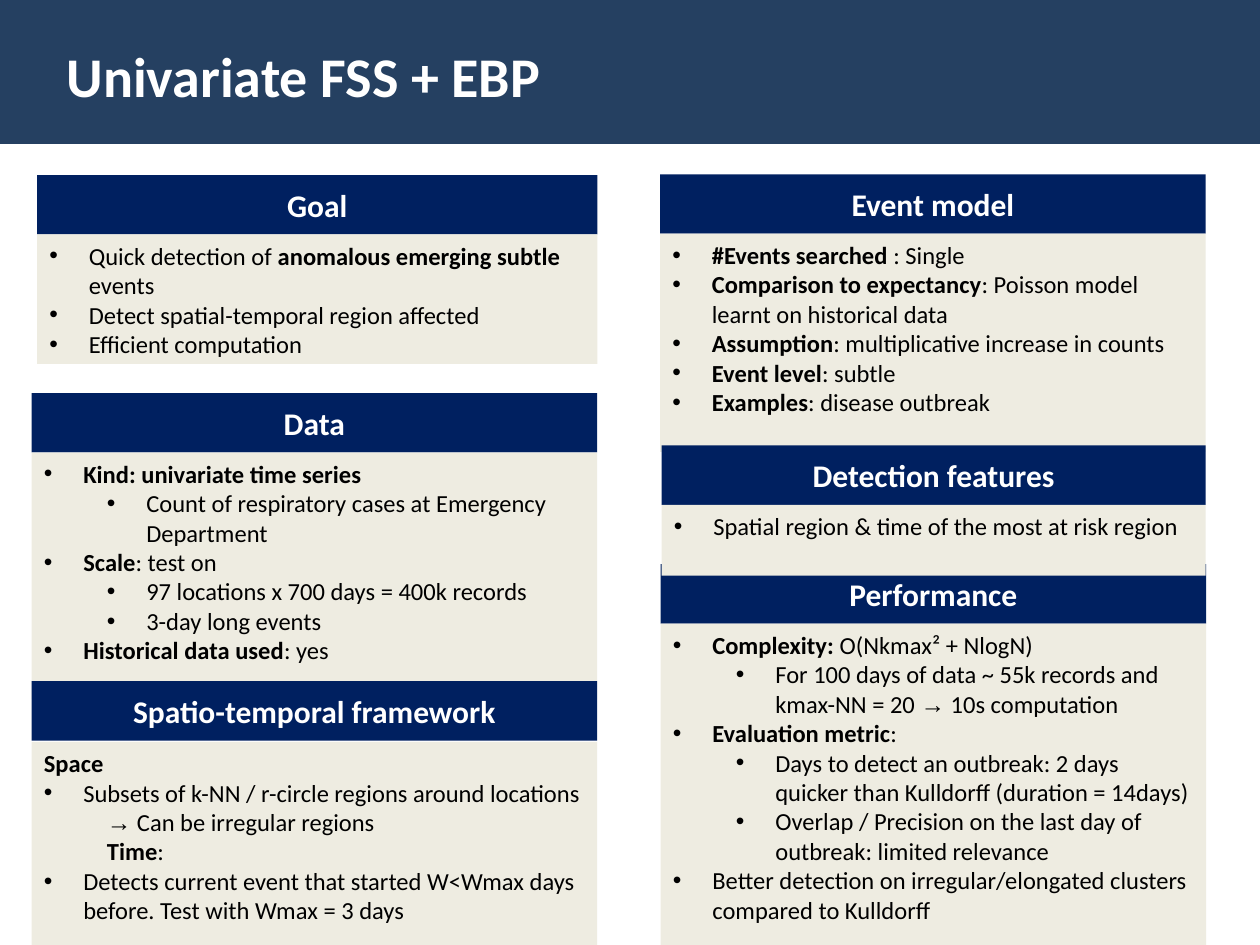
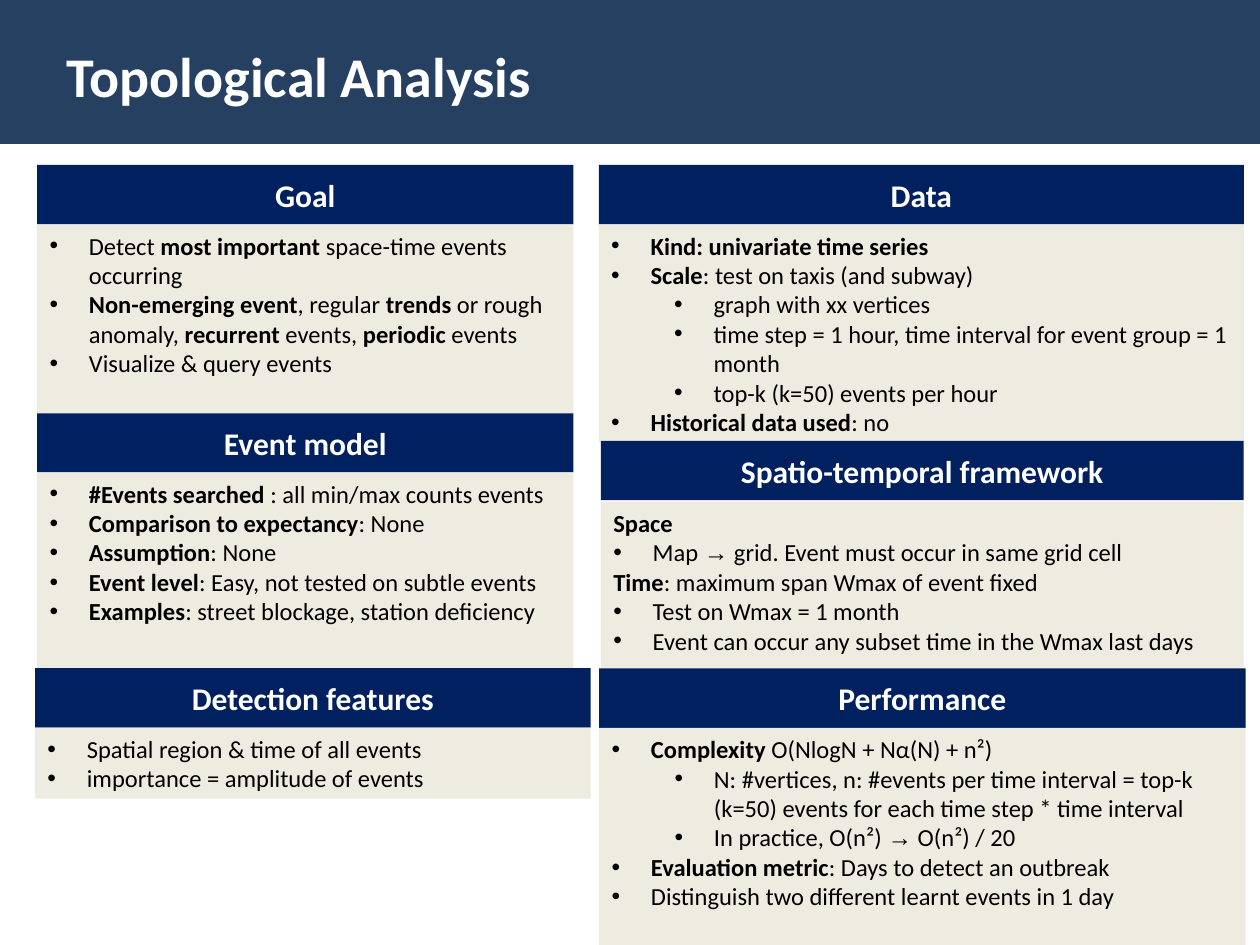
import pptx
import pptx.util
import pptx.dml.color
import pptx.enum.shapes
import pptx.enum.text
import pptx.oxml.ns
from lxml import etree

Pt = pptx.util.Pt
RGB = pptx.dml.color.RGBColor
ALIGN = pptx.enum.text.PP_ALIGN
ANCHOR = pptx.enum.text.MSO_ANCHOR

# Body lines: "- " bullet, "-- " sub-bullet, "> " indented; ** marks bold.
# Panels run from back to front: title, left, top, width, body height, gap, lines.
SLIDES = [
    ("Univariate FSS + EBP", [
        ("Data", 18, 224.6, 323.3, 141, 0, [
            "- **Kind: univariate time series**",
            "-- Count of respiratory cases at Emergency Department",
            "- **Scale**: test on",
            "-- 97 locations x 700 days = 400k records",
            "-- 3-day long events",
            "- **Historical data used**: yes",
        ]),
        ("Performance", 377.5, 322.4, 311.8, 242, 0, [
            "- **Complexity:** O(Nkmax² + NlogN)",
            "-- For 100 days of data ~ 55k records and kmax-NN = 20 → 10s computation",
            "- **Evaluation metric**:",
            "-- Days to detect an outbreak: 2 days quicker than Kulldorff (duration = 14days)",
            "-- Overlap / Precision on the last day of outbreak: limited relevance",
            "- Better detection on irregular/elongated clusters compared to Kulldorff",
        ]),
        ("Event model", 377.2, 99.6, 311.8, 124.6, 0, [
            "- **#Events searched **: Single",
            "- **Comparison to expectancy**: Poisson model learnt on historical data",
            "- **Assumption**: multiplicative increase in counts",
            "- **Event level**: subtle",
            "- **Examples**: disease outbreak",
        ]),
        ("Spatio-temporal framework", 18, 389.2, 323.3, 141, 0.8, [
            "**Space**",
            "- Subsets of k-NN / r-circle regions around locations",
            "> → Can be irregular regions",
            "> **Time**:",
            "- Detects current event that started W<Wmax days before. Test with Wmax = 3 days",
        ]),
        ("Goal", 21.2, 100, 320.2, 74, 0, [
            "- Quick detection of **anomalous emerging subtle **events",
            "- Detect spatial-temporal region affected",
            "- Efficient computation",
        ]),
        ("Detection features", 378, 254.5, 311, 40.5, 0, [
            "- Spatial region & time of the most at risk region",
        ]),
    ]),
    ("Topological Analysis", [
        ("Data", 342.2, 94.2, 368.6, 124.6, 0, [
            "- **Kind: univariate time series**",
            "- **Scale**: test on taxis (and subway)",
            "-- graph with xx vertices",
            "-- time step = 1 hour, time interval for event group = 1 month",
            "-- top-k (k=50) events per hour",
            "- **Historical data used**: no",
        ]),
        ("Event model", 21.2, 236, 306.5, 141, 0, [
            "- **#Events searched **: all min/max counts events",
            "- **Comparison to expectancy**: None",
            "- **Assumption**: None",
            "- **Event level**: Easy, not tested on subtle events",
            "- **Examples**: street blockage, station deficiency",
        ]),
        ("Goal", 21.2, 94.2, 306.5, 108, 0, [
            "- Detect **most important **space-time events occurring",
            "- **Non-emerging event**, regular **trends** or rough anomaly, "
            "**recurrent** events, **periodic** events",
            "- Visualize & query events",
        ]),
        ("Spatio-temporal framework", 343.4, 251.9, 367.3, 124.6, 0.8, [
            "**Space**",
            "- Map → grid. Event must occur in same grid cell",
            "**Time**: maximum span Wmax of event fixed",
            "- Test on Wmax = 1 month",
            "- Event can occur any subset time in the Wmax last days",
        ]),
        ("Detection features", 20, 381.8, 317.5, 40.5, 0, [
            "- Spatial region & time of all events",
            "- importance = amplitude of events",
        ]),
        ("Performance", 342.4, 382, 369.4, 141, 0, [
            "- **Complexity** O(NlogN + Nα(N) + n²)",
            "-- N: #vertices, n: #events per time interval = top-k (k=50) events "
            "for each time step * time interval",
            "-- In practice, O(n²) → O(n²) / 20",
            "- **Evaluation metric**: Days to detect an outbreak",
            "- Distinguish two different learnt events in 1 day",
        ]),
    ]),
]

COLORS = {"band": "254061", "head": "002060", "body": "EEECE1",
          "light": "FFFFFF", "dark": "000000"}
FONT, SYMBOL = "Calibri", "Arial"
HEAD = 34  # height of a panel's heading
# mark: (level, left margin, first-line indent)
STYLES = {"--": (1, 58.5, -22.5), "-": (0, 22.5, -22.5), ">": (0, 36, 0)}


def add_box(slide, x, y, w, h, fill):
    box = slide.shapes.add_shape(pptx.enum.shapes.MSO_SHAPE.RECTANGLE,
                                 Pt(x), Pt(y), Pt(w), Pt(h))
    box.shadow.inherit = False
    box.fill.solid()
    box.fill.fore_color.rgb = RGB.from_string(COLORS[fill])
    box.line.fill.background()
    frame = box.text_frame
    frame.word_wrap = True
    frame.vertical_anchor = ANCHOR.TOP
    return frame


def set_font(run, size, color, bold, name=FONT):
    font = run.font
    font.name, font.size, font.bold = name, Pt(size), bold
    font.color.rgb = RGB.from_string(COLORS[color])


def add_title(frame, text, size, align):
    frame.text = text
    para = frame.paragraphs[0]
    para.alignment = align
    set_font(para.runs[0], size, "light", True)


def indent(para, mark):
    level, left, first = STYLES[mark]
    para.level = level
    props = para._p.get_or_add_pPr()
    props.set("marL", str(Pt(left)))
    props.set("indent", str(Pt(first)))
    if first:
        qn = pptx.oxml.ns.qn
        etree.SubElement(props, qn("a:buFont")).set("typeface", SYMBOL)
        etree.SubElement(props, qn("a:buChar")).set("char", "•")


def write(para, line):
    """Fill a paragraph from a marked-up body line."""
    para.alignment = ALIGN.LEFT
    mark, _, rest = line.partition(" ")
    if mark in STYLES:
        indent(para, mark)
        line = rest
    for i, part in enumerate(line.split("**")):
        for text in part.partition("→"):
            if text:
                run = para.add_run()
                run.text = text
                set_font(run, 14, "dark", i % 2 == 1,
                         SYMBOL if text == "→" else FONT)


def add_panel(slide, title, x, y, w, h, gap, lines):
    head = add_box(slide, x, y, w, HEAD, "head")
    head.vertical_anchor = ANCHOR.MIDDLE
    add_title(head, title, 18, ALIGN.CENTER)
    body = add_box(slide, x, y + HEAD + gap, w, h, "body")
    for i, line in enumerate(lines):
        write(body.add_paragraph() if i else body.paragraphs[0], line)


def main():
    deck = pptx.Presentation()
    deck.slide_width, deck.slide_height = Pt(720), Pt(540)
    for title, panels in SLIDES:
        slide = deck.slides.add_slide(deck.slide_layouts[6])
        add_box(slide, 0, -0.5, 720, 82.8, "band")
        add_title(add_box(slide, 31, 20.2, 657.4, 45.4, "band"),
                  title, 32, ALIGN.LEFT)
        for panel in panels:
            add_panel(slide, *panel)
    deck.save("out.pptx")


if __name__ == "__main__":
    main()
